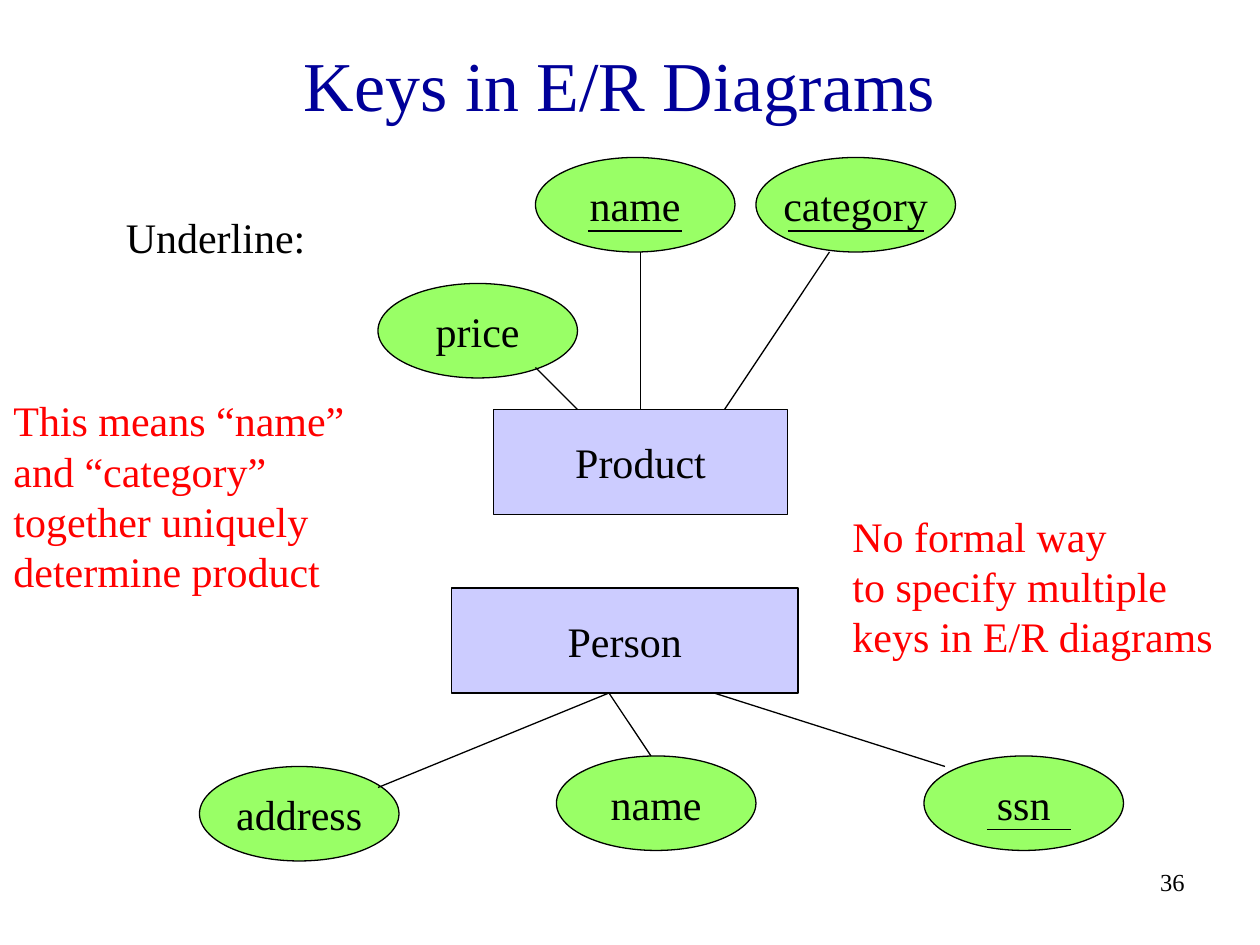
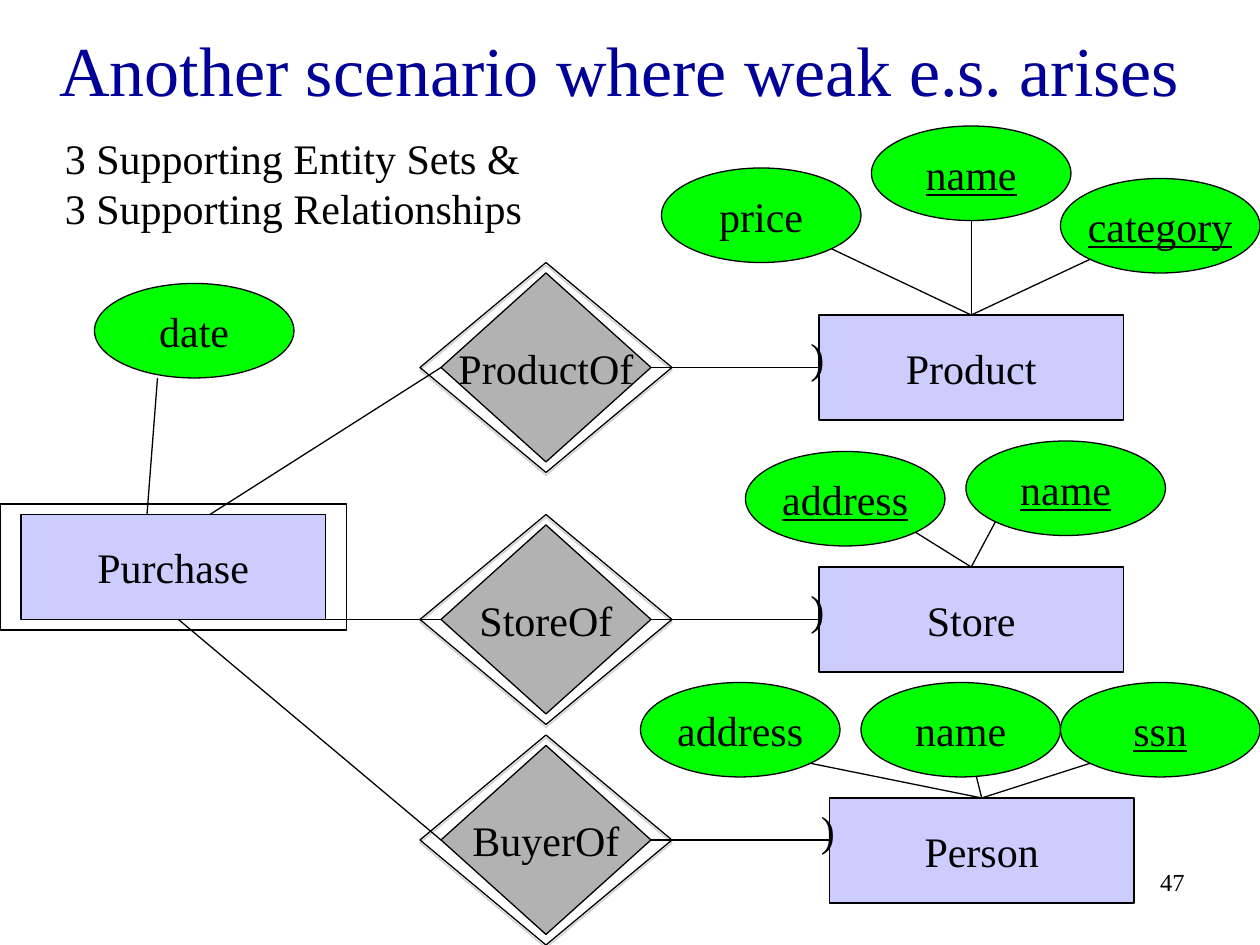
from lxml import etree
from pptx import Presentation
from pptx.dml.color import RGBColor
from pptx.enum.shapes import MSO_CONNECTOR, MSO_SHAPE
from pptx.enum.text import MSO_ANCHOR, PP_ALIGN
from pptx.oxml.ns import qn
from pptx.util import Inches, Pt

ELLIPSE, RECTANGLE, DIAMOND = MSO_SHAPE.OVAL, MSO_SHAPE.RECTANGLE, MSO_SHAPE.DIAMOND
STRAIGHT = MSO_CONNECTOR.STRAIGHT
LEFT, CENTER, RIGHT = PP_ALIGN.LEFT, PP_ALIGN.CENTER, PP_ALIGN.RIGHT
TOP, MIDDLE = MSO_ANCHOR.TOP, MSO_ANCHOR.MIDDLE

COLORS = {
    "title": "000099",
    "ink": "000000",
    "note": "FF0000",
    "entity": "CCCCFF",
    "key_attribute": "99FF66",
    "weak_attribute": "00FF00",
    "relationship": "B2B2B2",
    "shadow": "808080",
}
FONT = "Times New Roman"
CELL = Inches(10) / 120
ATTRIBUTE_WIDTH, ATTRIBUTE_HEIGHT = 19, 9
ENTITY_WIDTH, ENTITY_HEIGHT = 29, 10
RELATIONSHIP_WIDTH, RELATIONSHIP_HEIGHT = 20, 18

presentation = Presentation()
presentation.slide_width = Inches(10)
presentation.slide_height = Inches(7.5)


def write_text(frame, lines, size=24, color="ink", alignment=LEFT, anchor=TOP,
               wrap=True, underline=False):
    frame.word_wrap = wrap
    frame.vertical_anchor = anchor
    for index, line in enumerate(lines):
        paragraph = frame.paragraphs[0] if index == 0 else frame.add_paragraph()
        paragraph.alignment = alignment
        paragraph.space_before = Pt(0)
        run = paragraph.add_run()
        run.text = line
        run.font.name = FONT
        run.font.size = Pt(size)
        run.font.underline = underline
        run.font.color.rgb = RGBColor.from_string(COLORS[color])


def add_figure(slide, kind, column, row, width, height, fill=None, label=None, underline=False):
    shape = slide.shapes.add_shape(
        kind, *(round(length * CELL) for length in (column, row, width, height)))
    shape.shadow.inherit = False
    shape.line.color.rgb = RGBColor.from_string(COLORS["ink"])
    shape.line.width = Pt(0.75)
    if fill:
        shape.fill.solid()
        shape.fill.fore_color.rgb = RGBColor.from_string(COLORS[fill])
    else:
        shape.fill.background()
    if label:
        write_text(shape.text_frame, [label], alignment=CENTER, anchor=MIDDLE,
                   wrap=False, underline=underline)
    return shape


keys = {
    "title": "Keys in E/R Diagrams",
    "title_area": (8, 2, 102, 12),
    "number": "36",
    "attribute_fill": "key_attribute",
    "attributes": [
        ("address", 19, 73, False), ("name", 53, 72, False), ("ssn", 88, 72, False),
        ("name", 51, 15, False), ("category", 72, 15, False), ("price", 36, 27, False),
    ],
    "entities": [("Person", 43, 56, 33), ("Product", 47, 39, 28)],
    "relationships": [],
    "lines": [
        (55, 39, 51, 35), (61, 39, 61, 24), (69, 39, 79, 24),
        (58, 66, 36, 75), (58, 66, 62, 72), (68, 66, 90, 73),
        (56, 22, 65, 22), (75, 22, 88, 22), (94, 79, 102, 79),
    ],
    "notes": [
        (80, 48, 39, 15.6, "note",
         ["No formal way", "to specify multiple", "keys in E/R diagrams"]),
        (10.8, 19.6, 24, 6, "ink", ["Underline:"]),
        (0.1, 37, 37, 20.4, "note",
         ["This means “name” and “category” together uniquely determine product"]),
    ],
}

weak = {
    "title": "Another scenario where weak e.s. arises",
    "title_area": (2, 2, 114, 9),
    "number": "47",
    "attribute_fill": "weak_attribute",
    "attributes": [
        ("date", 9, 27, False),
        ("address", 61, 65, False), ("name", 82, 65, False), ("ssn", 101, 65, True),
        ("name", 83, 12, True), ("category", 101, 17, True), ("price", 63, 16, False),
        ("name", 92, 42, True), ("address", 71, 43, True),
    ],
    "entities": [
        ("Person", 79, 76, ENTITY_WIDTH), ("Store", 78, 54, ENTITY_WIDTH),
        ("Product", 78, 30, ENTITY_WIDTH), ("Purchase", 2, 49, ENTITY_WIDTH),
    ],
    "relationships": [("ProductOf", 26, 78), ("StoreOf", 50, 78), ("BuyerOf", 71, 79)],
    "lines": [
        (42, 35, 20, 49), (42, 80, 17, 59), (42, 59, 31, 59), (14, 49, 15, 36),
        (79.2, 23.7, 92.5, 30), (92.5, 21, 92.5, 30), (103.8, 24.7, 92.5, 30),
        (87.2, 50.7, 92.5, 54), (94.8, 49.7, 92.5, 54),
        (77.2, 72.7, 93.5, 76), (93, 74, 93.5, 76), (103.8, 72.7, 93.5, 76),
    ],
    "notes": [
        (5, 12, 55, 10.8, "ink",
         ["3 Supporting Entity Sets &", "3 Supporting Relationships"]),
    ],
}

for content in (keys, weak):
    slide = presentation.slides.add_slide(presentation.slide_layouts[5])
    title = slide.shapes.title
    title.left, title.top, title.width, title.height = (
        round(length * CELL) for length in content["title_area"])
    write_text(title.text_frame, [content["title"]], 40, "title", CENTER, MIDDLE)

    number_area = (89, 82, 25, 6)
    number = slide.shapes.add_textbox(*(round(length * CELL) for length in number_area))
    write_text(number.text_frame, [content["number"]], 14, alignment=RIGHT)

    for label, column, row, width in content["entities"]:
        add_figure(slide, RECTANGLE, column, row, width, ENTITY_HEIGHT, "entity", label)
        if label == "Purchase":
            add_figure(slide, RECTANGLE, column - 2, row - 1, width + 4, ENTITY_HEIGHT + 2)

    for label, column, row, underline in content["attributes"]:
        add_figure(slide, ELLIPSE, column, row, ATTRIBUTE_WIDTH, ATTRIBUTE_HEIGHT,
                   content["attribute_fill"], label, underline)

    lines = list(content["lines"])
    for label, row, entity_column in content["relationships"]:
        add_figure(slide, DIAMOND, 42, row, RELATIONSHIP_WIDTH, RELATIONSHIP_HEIGHT,
                   "relationship", label)
        outline = add_figure(slide, DIAMOND, 40, row - 1,
                             RELATIONSHIP_WIDTH + 4, RELATIONSHIP_HEIGHT + 2)
        effects = outline.element.spPr.find(qn("a:effectLst"))
        shadow = etree.SubElement(effects, qn("a:outerShdw"), dist=str(Pt(1.6)),
                                  dir="5400000", rotWithShape="0")
        shadow_color = etree.SubElement(shadow, qn("a:srgbClr"), val=COLORS["shadow"])
        etree.SubElement(shadow_color, qn("a:alpha"), val="38000")

        middle = row + RELATIONSHIP_HEIGHT / 2
        lines.append((62, middle, entity_column, middle))
        bracket_area = (entity_column - 2, middle - 4, 3.75, 6)
        bracket = slide.shapes.add_textbox(*(round(length * CELL) for length in bracket_area))
        write_text(bracket.text_frame, [")"], wrap=False)

    for line in lines:
        connector = slide.shapes.add_connector(
            STRAIGHT, *(round(length * CELL) for length in line))
        connector.line.color.rgb = RGBColor.from_string(COLORS["ink"])
        connector.line.width = Pt(0.75)
        etree.SubElement(connector.element.spPr, qn("a:effectLst"))

    for column, row, width, height, color, paragraphs in content["notes"]:
        note_area = (column, row, width, height)
        note = slide.shapes.add_textbox(*(round(length * CELL) for length in note_area))
        write_text(note.text_frame, paragraphs, color=color)

presentation.save("out.pptx")
